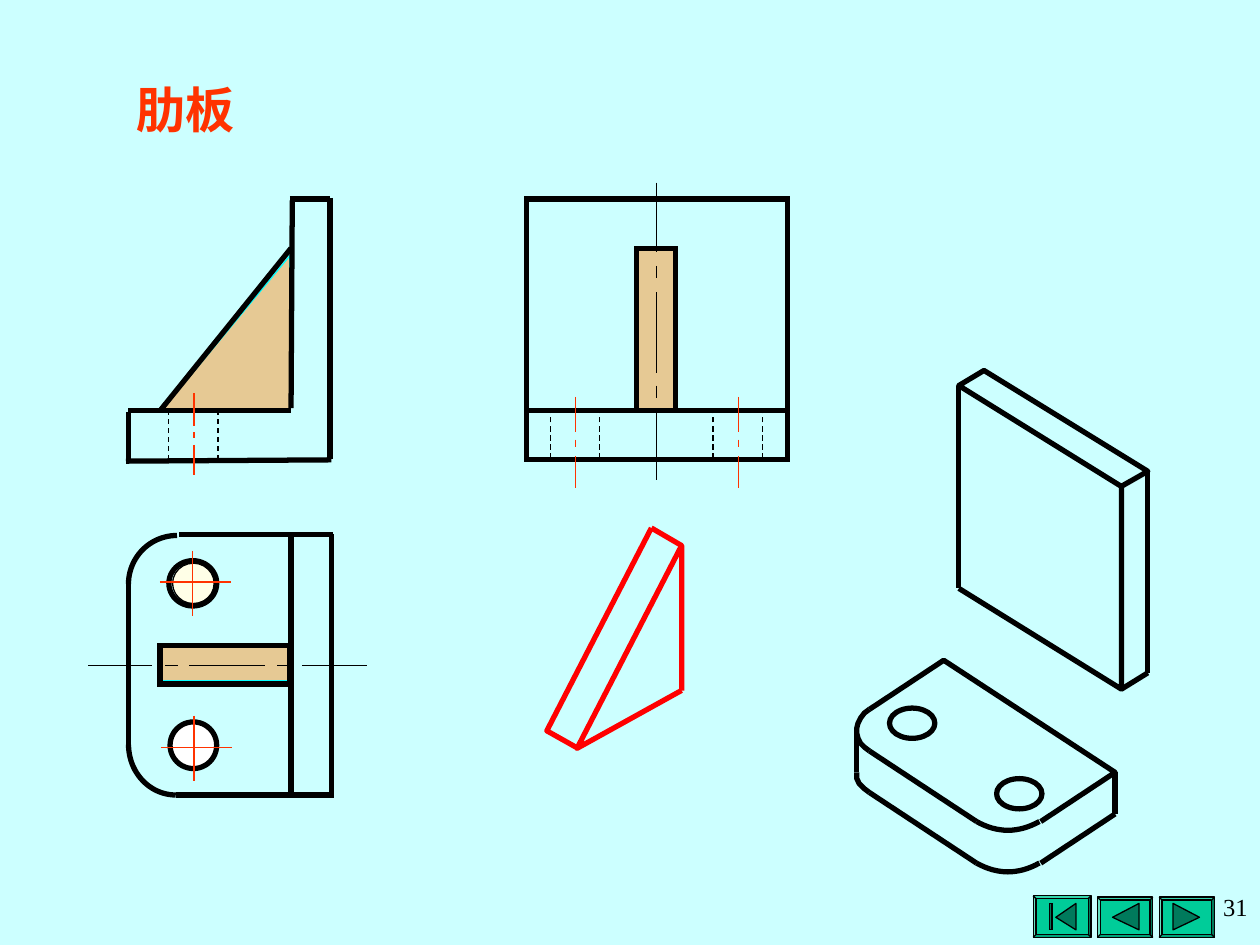
from lxml.etree import SubElement
from pptx import Presentation
from pptx.dml.color import RGBColor
from pptx.enum.dml import MSO_LINE
from pptx.enum.shapes import MSO_CONNECTOR, MSO_SHAPE as SHP
from pptx.enum.text import MSO_ANCHOR, PP_ALIGN
from pptx.oxml.ns import qn
from pptx.util import Cm, Pt

COLORS = {
    "bg": "CCFFFF", "black": "000000", "axis": "FF3300", "rib": "FF9933",
    "rib_edge": "00FFFF", "red": "FF0000", "button": "00CC99",
    "icon": "007A5C", "cream": "FFFFE7", "white": "FFFFFF",
}
FONT = "Times New Roman"
GRID = 2.54  # centimetres per drawing unit
BOLD, THIN, HAIR = 3, 0.75, 0.1


def rgb(name):
    return RGBColor.from_string(COLORS[name])


def units(*values):
    return [Cm(v * GRID) for v in values]


class Pen:
    """Draws into one group, in drawing units measured from the corner (x, y)."""

    def __init__(self, s, x, y):
        self.shapes = s.shapes.add_group_shape().shapes
        self.x, self.y = x, y

    def at(self, x, y):
        return units(self.x + x, self.y + y)

    def style(self, sp, fill, color, width, alpha):
        sp.shadow.inherit = False
        sp.line.color.rgb = rgb(color)
        sp.line.width = Pt(width)
        if not fill:
            sp.fill.background()
            return
        sp.fill.solid()
        sp.fill.fore_color.rgb = rgb(fill)
        if alpha:
            clr = sp._element.spPr.find(qn("a:solidFill"))[0]
            SubElement(clr, qn("a:alpha"), val=str(alpha * 1000))

    def shape(self, kind, x, y, w, h, fill=None, color="black", width=BOLD, alpha=None):
        sp = self.shapes.add_shape(kind, *self.at(x, y), *units(w, h))
        self.style(sp, fill, color, width, alpha)
        if kind == SHP.RECTANGLE:
            SubElement(sp._element.spPr.find(qn("a:ln")), qn("a:miter"), lim="800000")
        return sp

    def poly(self, points, fill=None, color="black", width=BOLD, alpha=None, close=False):
        start, *rest = [self.at(*pt) for pt in points]
        fb = self.shapes.build_freeform(*start, scale=1.0)
        fb.add_line_segments(rest, close=close)
        self.style(fb.convert_to_shape(), fill, color, width, alpha)

    def line(self, x1, y1, x2, y2, color="black", width=BOLD, dash=False):
        ln = self.shapes.add_connector(
            MSO_CONNECTOR.STRAIGHT, *self.at(x1, y1), *self.at(x2, y2))
        ln.line.color.rgb = rgb(color)
        ln.line.width = Pt(width)
        if dash:
            ln.line.dash_style = MSO_LINE.DASH
        SubElement(ln._element.spPr, qn("a:effectLst"))

    def arc(self, x, y, w, h, start, end):
        """Arc of the ellipse in the box, angles in degrees clockwise from the right."""
        sp = self.shape(SHP.ARC, x, y, w, h)
        sp.adjustments[0], sp.adjustments[1] = start * 0.6, end * 0.6

    def hidden_hole(self, x, bottom, axis):
        for side in (-0.2, 0.19):
            self.line(x + side, bottom, x + side, bottom - 0.39, width=THIN, dash=True)
        for top, end in axis:
            self.line(x, bottom + top, x, bottom + end, "axis", THIN)


def front_view(s, x, y):
    pen = Pen(s, x, y)
    pen.poly([(0.28, 1.76), (1.3, 1.76), (1.3, 0.53)],
             "rib", "rib_edge", THIN, alpha=52, close=True)
    for ends in ((1.3, 0.08, 1.62, 0.08), (0.02, 2.15, 0.02, 1.77),
                 (0.02, 1.76, 1.31, 1.76), (0.27, 1.76, 1.31, 0.47),
                 (1.32, 0.09, 1.31, 1.74), (1.62, 0.07, 1.62, 2.14),
                 (0, 2.16, 1.63, 2.15)):
        pen.line(*ends)
    pen.hidden_hole(0.54, 2.15, ((-0.53, -0.27), (-0.22, -0.17), (-0.12, 0.12)))


def side_view(s, x, y):
    pen = Pen(s, x, y)
    pen.shape(SHP.RECTANGLE, 0.88, 0.39, 0.31, 1.27, "rib", "rib_edge", THIN, 52)
    for box in ((0, 0, 2.07, 2.07), (0.87, 0.39, 0.31, 1.29), (0, 1.68, 2.07, 0.39)):
        pen.shape(SHP.RECTANGLE, *box)
    for hole in (0.39, 1.68):
        pen.hidden_hole(hole, 2.06, ((-0.49, -0.21), (-0.15, -0.09), (-0.02, 0.23)))
    for top, end in ((-0.13, 0.42), (0.53, 0.63), (0.74, 1.38), (1.48, 1.58), (1.69, 2.23)):
        pen.line(1.03, top, 1.03, end, width=HAIR)


def top_view(s, x, y):
    pen = Pen(s, x, y)
    pen.shape(SHP.RECTANGLE, 0.28, 0.87, 1.01, 0.29, "rib", "rib_edge", THIN, 52)
    pen.shape(SHP.OVAL, 0.37, 0.23, 0.33, 0.32, "cream", width=THIN)
    pen.poly([(0.4, 2.07), (1.31, 2.07), (1.31, 0), (0.42, 0)])
    pen.arc(0.02, 0.01, 0.77, 0.77, 180, 270)
    pen.arc(0.02, 1.27, 0.75, 0.8, 90, 180)
    for ends in ((0.02, 1.67, 0.02, 0.38), (1.27, 0, 1.64, 0),
                 (1.3, 2.07, 1.65, 2.07), (1.63, 2.05, 1.63, 0)):
        pen.line(*ends)
    pen.shape(SHP.RECTANGLE, 0.27, 0.88, 1.03, 0.31)
    pen.shape(SHP.OVAL, 0.34, 0.21, 0.38, 0.36)
    pen.shape(SHP.OVAL, 0.35, 1.49, 0.37, 0.37, "white")
    for cx, cy in ((0.53, 0.38), (0.54, 1.69)):
        pen.line(cx - 0.26, cy, cx + 0.3, cy, "axis", THIN)
        pen.line(cx, cy - 0.25, cx, cy + 0.27, "axis", THIN)
    for left, end in ((-0.3, 0.21), (0.31, 0.41), (0.5, 1.1), (1.2, 1.3), (1.4, 1.91)):
        pen.line(left, 1.04, end, 1.04, width=HAIR)


def rib_solid(s, x, y):
    pen = Pen(s, x, y)
    for points in ([(1.07, 1.29), (0.24, 1.75), (1.07, 0.14)],
                   [(0.25, 1.75), (0, 1.61), (0.83, 0)],
                   [(1.07, 1.29), (1.07, 0.14), (0.83, 0)]):
        pen.poly(points, color="red")


def plate_solid(s, x, y):
    pen = Pen(s, x, y)
    pen.line(0, 0.12, 0, 1.73)
    pen.line(1.5, 0.8, 1.5, 2.4)
    pen.line(1.5, 2.4, 1.29, 2.53)
    pen.poly([(1.29, 0.92), (1.29, 2.53), (0, 1.73)])
    pen.poly([(1.5, 0.8), (1.29, 0.92), (0, 0.12), (0.2, 0), (1.5, 0.8)])


def base_solid(s, x, y):
    pen = Pen(s, x, y)
    thick = 0.33
    steps = [i / 8 for i in range(-8, 9)]
    front_corner = [(1.2 + 0.25 * t, 1.28 + 0.07 * (1 - t * t)) for t in steps]
    pen.poly([(0.1, 0.39), (0.69, 0), (2.05, 0.89), (1.46, 1.28)])
    pen.poly([(0.1, 0.39), (0.06, 0.42), (0.03, 0.46), (0.01, 0.5), (0, 0.54), (0, 0.58),
              (0.01, 0.62), (0.03, 0.66), (0.06, 0.69), (0.1, 0.72)])
    pen.poly([(0, 0.89), (0, 0.94), (0.02, 0.98), (0.06, 1.02), (0.1, 1.05)])
    for drop in (0, thick):
        pen.line(0.1, 0.72 + drop, 0.95, 1.28 + drop)
        pen.poly([(px, py + drop) for px, py in front_corner])
    pen.line(2.05, 0.89, 2.05, 0.89 + thick)
    pen.line(2.05, 0.89 + thick, 1.46, 1.28 + thick)
    pen.line(0, 0.56, 0, 0.89)
    for left, top in ((0.26, 0.38), (1.11, 0.94)):
        pen.shape(SHP.OVAL, left, top, 0.36, 0.24)


def navigation(s, x, y):
    pen = Pen(s, x, y)
    for box in ((0, 0, 0.46, 0.33), (0.51, 0.01, 0.44, 0.32), (1, 0.01, 0.44, 0.32)):
        button = pen.shape(SHP.BEVEL, *box, fill="button", width=THIN)
        button.adjustments[0] = 0.07
    for tip, back in ((0.18, 0.34), (0.63, 0.84), (1.32, 1.11)):
        pen.poly([(tip, 0.17), (back, 0.06), (back, 0.27)], "icon", width=THIN, close=True)
    pen.shape(SHP.RECTANGLE, 0.13, 0.06, 0.02, 0.21, "icon", width=THIN)


def write(sp, text, size, color, align, bold=False):
    tf = sp.text_frame
    tf.text = text
    p = tf.paragraphs[0]
    p.alignment = align
    p.font.name, p.font.size, p.font.bold = FONT, Pt(size), bold
    p.font.color.rgb = rgb(color)
    return tf


def title(s, *box):
    sp = s.shapes.title
    sp.left, sp.top, sp.width, sp.height = units(*box)
    tf = write(sp, "肋板", 28, "axis", PP_ALIGN.CENTER, bold=True)
    tf.margin_left = tf.margin_right = 0
    tf.vertical_anchor = MSO_ANCHOR.TOP


def page_number(s, *box):
    sp = s.shapes.add_textbox(*units(*box))
    write(sp, "31", 14, "black", PP_ALIGN.RIGHT).word_wrap = True


def main():
    prs = Presentation()
    prs.slide_width, prs.slide_height = Cm(25.4), Cm(19.05)
    s = prs.slides.add_slide(prs.slide_layouts[5])
    s.background.fill.solid()
    s.background.fill.fore_color.rgb = rgb("bg")
    navigation(s, 8.2, 7.11)
    rib_solid(s, 4.34, 4.19)
    plate_solid(s, 7.61, 2.94)
    base_solid(s, 6.8, 5.24)
    top_view(s, 1, 4.24)
    front_view(s, 1, 1.5)
    side_view(s, 4.18, 1.58)
    title(s, 0.99, 0.58, 0.97, 0.57)
    page_number(s, 7.48, 7.03, 2.52, 0.61)
    prs.save("out.pptx")


if __name__ == "__main__":
    main()
